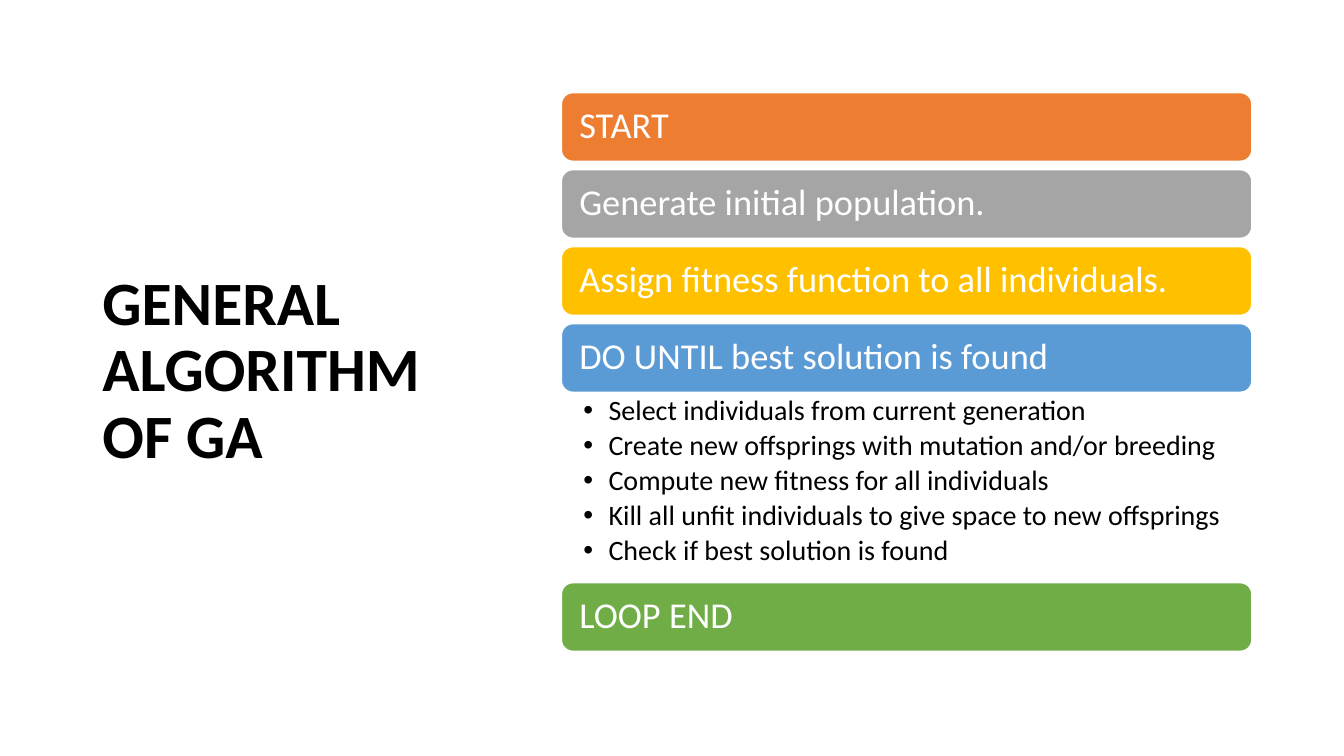
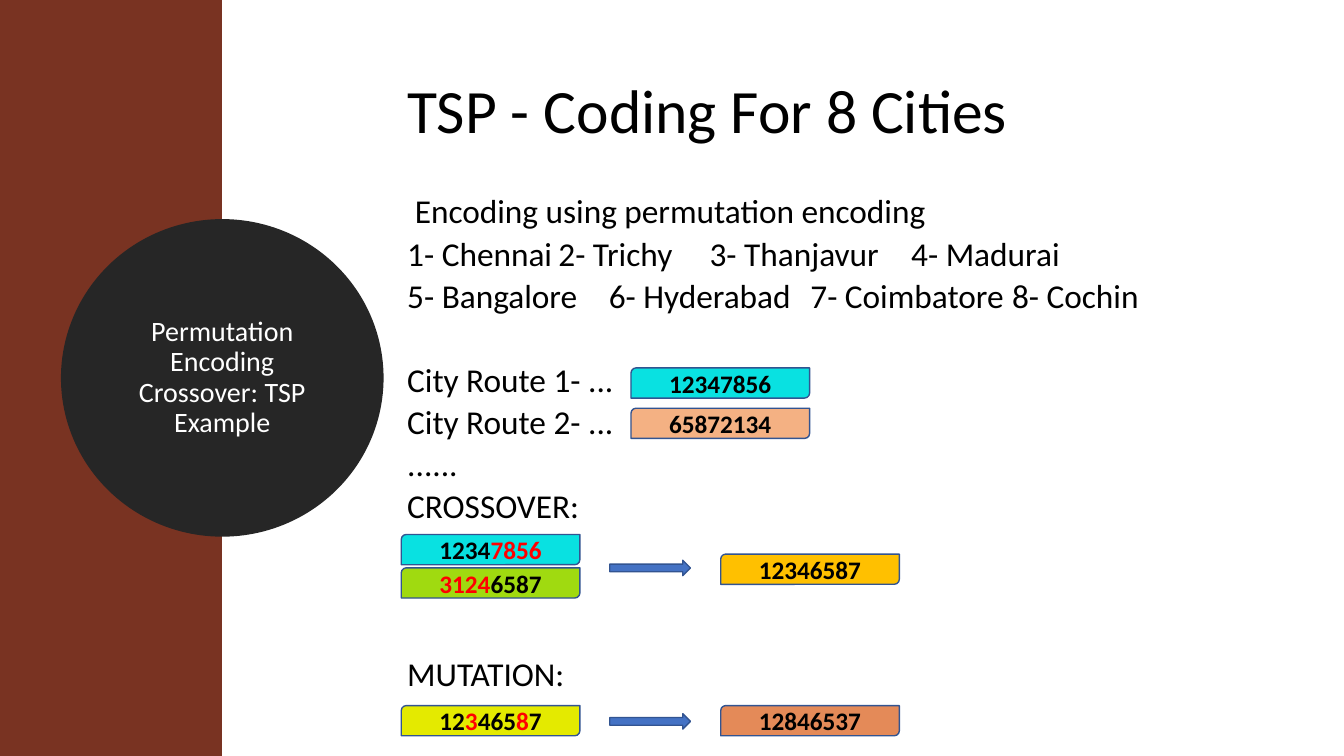
from dataclasses import dataclass

from lxml import etree
from pptx import Presentation
from pptx import util as u
from pptx.dml import color
from pptx.enum import shapes, text
from pptx.oxml import ns

SHAPE = shapes.MSO_SHAPE
ALIGN = text.PP_ALIGN
ANCHOR = text.MSO_ANCHOR


@dataclass(frozen=True)
class Theme:
    font: str = "Calibri"
    black: str = "000000"
    white: str = "FFFFFF"
    red: str = "FF0000"
    orange: str = "ED7D31"
    gray: str = "A5A5A5"
    gold: str = "FFC000"
    blue: str = "5B9BD5"
    green: str = "70AD47"
    brown: str = "793322"
    dark: str = "262626"
    outline: str = "325491"
    arrow: str = "4472C4"
    cyan: str = "09E1E1"
    peach: str = "F4B183"
    lime: str = "A0DA10"
    yellow: str = "E4EA00"
    copper: str = "E48A58"
    title: float = 44
    bar: float = 26
    body: float = 23.8
    small: float = 20
    gene: float = 18


THEME = Theme()


def rgb(value):
    return color.RGBColor.from_string(value)


def add_child(parent, tag, **attrs):
    return etree.SubElement(parent, ns.qn(tag), attrs)


def write(tf, lines, **fmt):
    """Fill a text frame; a line is text or (text, own format), and * toggles red."""
    for i, line in enumerate(lines):
        content, own = (line, {}) if isinstance(line, str) else line
        f = {"size": THEME.body, "color": THEME.black, "bold": False,
             "align": ALIGN.LEFT, "spacing": 0.9, "before": 0, "after": 0,
             "indent": 0, "bullet": None, "tabs": (), **fmt, **own}
        p = tf.paragraphs[0] if i == 0 else tf.add_paragraph()
        p.alignment, p.line_spacing = f["align"], f["spacing"]
        p.space_before = u.Pt(f["before"] if i else 0)
        p.space_after = u.Pt(f["after"])

        props = p._p.get_or_add_pPr()
        props.set("marL", str(u.Pt(f["indent"])))
        props.set("indent", str(u.Pt(-f["indent"] if f["bullet"] else 0)))
        if f["bullet"]:
            add_child(props, "a:buChar", char=f["bullet"])
        else:
            add_child(props, "a:buNone")
        if f["tabs"]:
            stops = add_child(props, "a:tabLst")
            for stop in f["tabs"]:
                add_child(stops, "a:tab", pos=str(u.Pt(stop)), algn="l")

        for n, part in enumerate(content.split("*")):
            if part:
                r = p.add_run()
                r.text = part
                r.font.name, r.font.size = THEME.font, u.Pt(f["size"])
                r.font.bold = f["bold"]
                r.font.color.rgb = rgb(THEME.red if n % 2 else f["color"])


class Deck:
    def __init__(self, theme):
        self.theme = theme
        self.prs = Presentation()
        self.prs.slide_width, self.prs.slide_height = u.Pt(960), u.Pt(540)
        self.s = None

    def new_slide(self):
        self.s = self.prs.slides.add_slide(self.prs.slide_layouts[1])

    def frame(self, sp, anchor, insets=(7.2, 3.6, 7.2, 3.6)):
        tf = sp.text_frame
        tf.word_wrap, tf.auto_size = True, text.MSO_AUTO_SIZE.NONE
        tf.vertical_anchor = anchor
        (tf.margin_left, tf.margin_top,
         tf.margin_right, tf.margin_bottom) = map(u.Pt, insets)
        return tf

    def place(self, sp, box):
        sp.left, sp.top, sp.width, sp.height = map(u.Pt, box)
        return sp

    def title(self, content, box, bold=False):
        sp = self.place(self.s.shapes.title, box)
        write(self.frame(sp, ANCHOR.MIDDLE), [content],
              size=self.theme.title, bold=bold)

    def body(self, lines, box, insets=(7.2, 3.6, 7.2, 3.6), **fmt):
        sp = self.place(self.s.placeholders[1], box)
        write(self.frame(sp, ANCHOR.TOP, insets), lines, **fmt)

    def shape(self, kind, box, fill, line=None, width=1):
        sp = self.s.shapes.add_shape(kind, *map(u.Pt, box))
        sp.shadow.inherit = False
        sp.fill.solid()
        sp.fill.fore_color.rgb = rgb(fill)
        if line:
            sp.line.color.rgb, sp.line.width = rgb(line), u.Pt(width)
        else:
            sp.line.fill.background()
        return sp

    def bar(self, content, box, fill):
        sp = self.shape(SHAPE.ROUNDED_RECTANGLE, box, fill, self.theme.white)
        tf = self.frame(sp, ANCHOR.MIDDLE, (10.4, 8, 10.4, 8))
        write(tf, [content], size=self.theme.bar, color=self.theme.white)

    def badge(self, content, box):
        dark = self.theme.dark
        sp = self.shape(SHAPE.OVAL, box, dark, dark, 13.75)
        write(self.frame(sp, ANCHOR.MIDDLE), [content], size=self.theme.small,
              color=self.theme.white, align=ALIGN.CENTER)

    def chromosome(self, genes, x, y, fill):
        sp = self.shape(SHAPE.ROUND_2_DIAG_RECTANGLE, (x, y, 127.6, 21.6),
                        fill, self.theme.outline)
        write(self.frame(sp, ANCHOR.MIDDLE), [genes], size=self.theme.gene,
              bold=True, align=ALIGN.CENTER, spacing=1.0)

    def arrow(self, x, y):
        self.shape(SHAPE.RIGHT_ARROW, (x, y, 57.6, 11),
                   self.theme.arrow, self.theme.outline)


def algorithm_slide(d):
    t = d.theme
    d.new_slide()
    d.title("GENERAL ALGORITHM OF GA", (66, 49, 266, 433.4), bold=True)
    x, y, w, h, gap, list_h = 401, 66.2, 493.2, 49, 6, 136
    steps = [("START", t.orange), ("Generate initial population.", t.gray),
             ("Assign fitness function to all individuals.", t.gold),
             ("DO UNTIL best solution is found", t.blue)]
    for i, (step, fill) in enumerate(steps):
        d.bar(step, (x, y + i * (h + gap), w, h), fill)
    list_y = y + len(steps) * (h + gap) - gap
    d.body(["Select individuals from current generation",
            "Create new offsprings with mutation and/or breeding",
            "Compute new fitness for all individuals",
            "Kill all unfit individuals to give space to new offsprings",
            "Check if best solution is found"],
           (x, list_y, w, list_h), (15.7, 2.8, 14.2, 2.8),
           size=t.small, after=3.5, indent=18, bullet="•")
    d.bar("LOOP END", (x, list_y + list_h, w, h), t.green)


def cities_slide(d):
    t = d.theme
    d.new_slide()
    d.shape(SHAPE.RECTANGLE, (0, 0, 158.6, 540), t.brown)
    d.badge("Permutation Encoding Crossover: TSP Example",
            (50.4, 163.4, 216.7, 213.1))
    d.title("TSP - Coding For 8 Cities", (283.7, 28.8, 655.2, 104.4))
    d.body([("Encoding using permutation encoding", {"indent": 5.4}),
            ("1- Chennai\t2- Trichy\t3- Thanjavur\t4- Madurai",
             {"tabs": (144, 288, 504)}),
            ("5- Bangalore\t6- Hyderabad\t7- Coimbatore\t8- Cochin",
             {"tabs": (144, 288, 432)}),
            ("City Route 1- ...", {"before": 40}),
            "City Route 2- ...",
            "......",
            "CROSSOVER:",
            ("MUTATION:", {"before": 100})],
           (283.7, 140.4, 665.3, 379.4), spacing=0.7, before=10)

    parent_x, arrow_x, route_x, child_x = 286.6, 435.6, 450.7, 514.8
    for genes, x, y, fill in [
            ("12347856", route_x, 262.8, t.cyan),
            ("65872134", route_x, 291.6, t.peach),
            ("1234*7856", parent_x, 381.8, t.cyan),
            ("*3124*6587", parent_x, 405.6, t.lime),
            ("12346587", child_x, 395.8, t.gold),
            ("12*3*465*8*7", parent_x, 504, t.yellow),
            ("12846537", child_x, 504, t.copper)]:
        d.chromosome(genes, x, y, fill)
    for y in (400.2, 509.8):
        d.arrow(arrow_x, y)


def main():
    d = Deck(THEME)
    algorithm_slide(d)
    cities_slide(d)
    d.prs.save("out.pptx")


if __name__ == "__main__":
    main()
